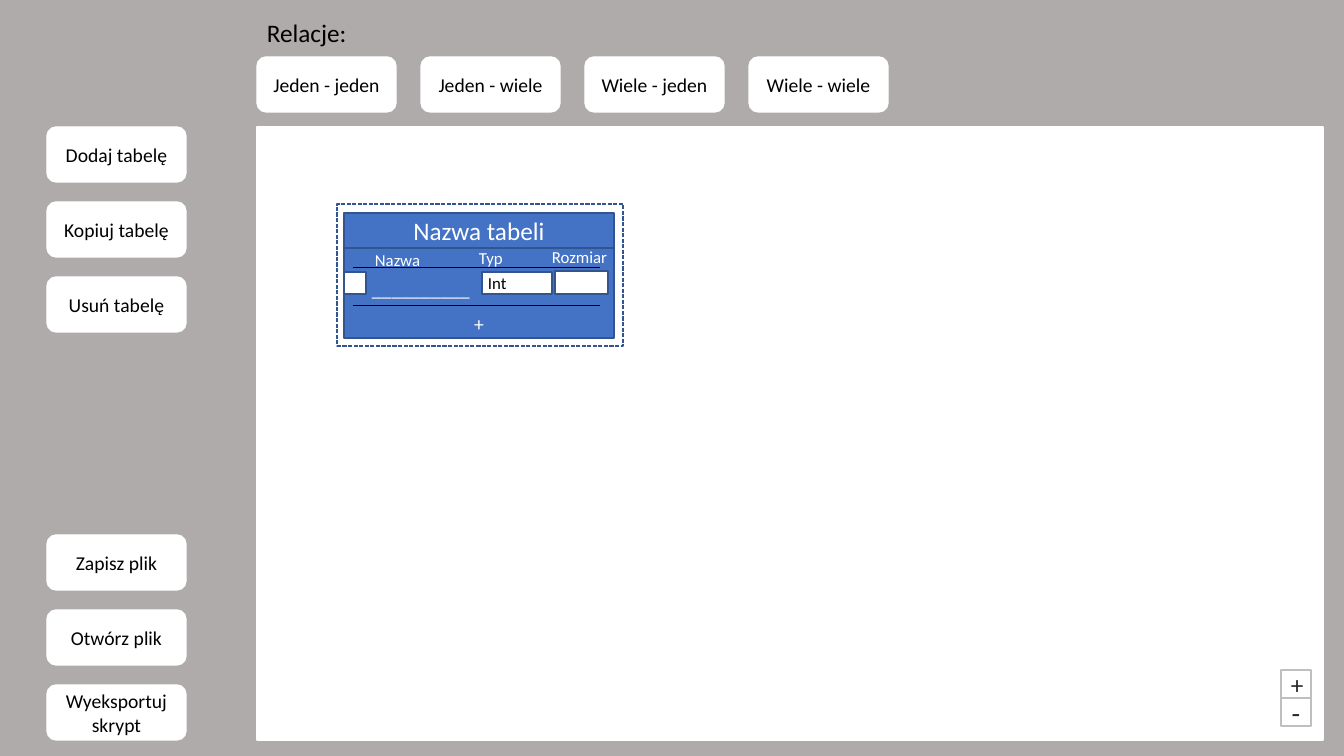
"""Build the screen sketch of a database table editor."""
import pptx
import pptx.dml.color
import pptx.enum.dml
import pptx.enum.shapes
import pptx.enum.text
import pptx.oxml
import pptx.oxml.ns
import pptx.util

HUES = {"back": "AFABAB", "white": "FFFFFF", "black": "000000", "blue": "4472C4",
        "edge": "325491", "grey": "BFBFBF", "dark": "262626"}
KINDS = pptx.enum.shapes.MSO_SHAPE
ALIGN = pptx.enum.text.PP_ALIGN
ANCHOR = pptx.enum.text.MSO_ANCHOR


def px(*sizes):
    """Turn picture pixels into EMU."""
    return [round(size * 914400 / 100.8) for size in sizes]


def hue(name):
    """Look up a colour by name."""
    return pptx.dml.color.RGBColor.from_string(HUES[name])


def style(para, size, color, align):
    """Set the font and alignment of a paragraph."""
    para.alignment = align
    para.font.name = "Calibri"
    para.font.size = pptx.util.Pt(size)
    para.font.color.rgb = hue(color)


def write(frame, text, size, color, align=ALIGN.CENTER):
    """Fill a text frame, one paragraph per line."""
    frame.word_wrap = True
    frame.text = text
    for para in frame.paragraphs:
        style(para, size, color, align)


def block(slide, box, fill="white", edge="white", kind=KINDS.RECTANGLE):
    """Add a flat shape with a thin outline."""
    shape = slide.shapes.add_shape(kind, *px(*box))
    shape.shadow.inherit = False
    if fill:
        shape.fill.solid()
        shape.fill.fore_color.rgb = hue(fill)
    else:
        shape.fill.background()
    shape.line.color.rgb = hue(edge)
    shape.line.width = pptx.util.Pt(1)
    shape.text_frame.vertical_anchor = ANCHOR.MIDDLE
    return shape


def label(slide, box, text, size, color):
    """Add a left-aligned text box."""
    write(slide.shapes.add_textbox(*px(*box)).text_frame, text, size, color, ALIGN.LEFT)


def rule(slide, left, top, width):
    """Add a thin black horizontal line."""
    line = slide.shapes.add_connector(pptx.enum.shapes.MSO_CONNECTOR.STRAIGHT,
                                      *px(left, top, left + width, top))
    line.line.color.rgb = hue("black")
    line.line.width = pptx.util.Pt(0.5)
    props = line._element.spPr
    props.append(props.makeelement(pptx.oxml.ns.qn("a:effectLst"), {}))


def buttons(slide, box, names, step):
    """Add a row or column of rounded buttons starting at the box."""
    left, top, width, height = box
    for i, name in enumerate(names):
        spot = (left + i * step[0], top + i * step[1], width, height)
        shape = block(slide, spot, kind=KINDS.ROUNDED_RECTANGLE)
        write(shape.text_frame, name, 14, "black")


def entity(slide, box):
    """Add the selected table with its heading, columns and one field row."""
    left, top, width, height = box
    head = block(slide, (left + 7, top + 9, 270, 35), "blue", "edge")
    write(head.text_frame, "Nazwa tabeli", 18, "white")

    body = block(slide, (left + 7, top + 44, 270, 90), "blue", "edge").text_frame
    body.vertical_anchor = ANCHOR.TOP
    body.margin_left, body.margin_right, body.margin_top = px(28, 28, 29)
    write(body, "__________\n+", 14, "white")
    body.paragraphs[0].alignment = ALIGN.LEFT
    body.paragraphs[1].line_spacing = 1.5

    block(slide, (left + 7, top + 68, 22, 22), edge="edge")
    kind = block(slide, (left + 145, top + 68, 70, 22), edge="edge").text_frame
    kind.margin_left, kind.margin_top, kind.margin_bottom = px(6, 0, 0)
    write(kind, "Int", 12, "black", ALIGN.LEFT)
    block(slide, (left + 218, top + 67, 53, 23), edge="edge")

    for x, y, name in ((28, 41, "Nazwa"), (132, 39, "Typ"), (205, 38, "Rozmiar")):
        label(slide, (left + x, top + y, 93, 30), name, 12, "white")
    for y in (63, 101):
        rule(slide, left + 16, top + y, 247)

    frame = block(slide, box, None, "edge")
    frame.line.dash_style = pptx.enum.dml.MSO_LINE.SQUARE_DOT


def zoom(slide, box):
    """Add the stacked zoom keys."""
    left, top, width, height = box
    for i, (sign, size) in enumerate((("+", 18), ("-", 20))):
        key = block(slide, (left, top + i * height // 2, width, height // 2), edge="grey")
        write(key.text_frame, sign, size, "dark")


def editor(slide):
    """Lay out the whole editor screen."""
    slide.background.fill.solid()
    slide.background.fill.fore_color.rgb = hue("back")
    block(slide, (257, 127, 1066, 613))
    label(slide, (257, 12, 320, 40), "Relacje:", 18, "black")
    buttons(slide, (257, 57, 139, 55),
            ["Jeden - jeden", "Jeden - wiele", "Wiele - jeden", "Wiele - wiele"], (164, 0))
    buttons(slide, (47, 127, 139, 55), ["Dodaj tabelę", "Kopiuj tabelę", "Usuń tabelę"], (0, 75))
    buttons(slide, (47, 535, 139, 55), ["Zapisz plik", "Otwórz plik", "Wyeksportuj skrypt"], (0, 75))
    entity(slide, (337, 204, 286, 142))
    zoom(slide, (1281, 670, 30, 56))


deck = pptx.Presentation()
deck.slide_width, deck.slide_height = px(1344, 756)
editor(deck.slides.add_slide(deck.slide_layouts[6]))
deck.save("out.pptx")
